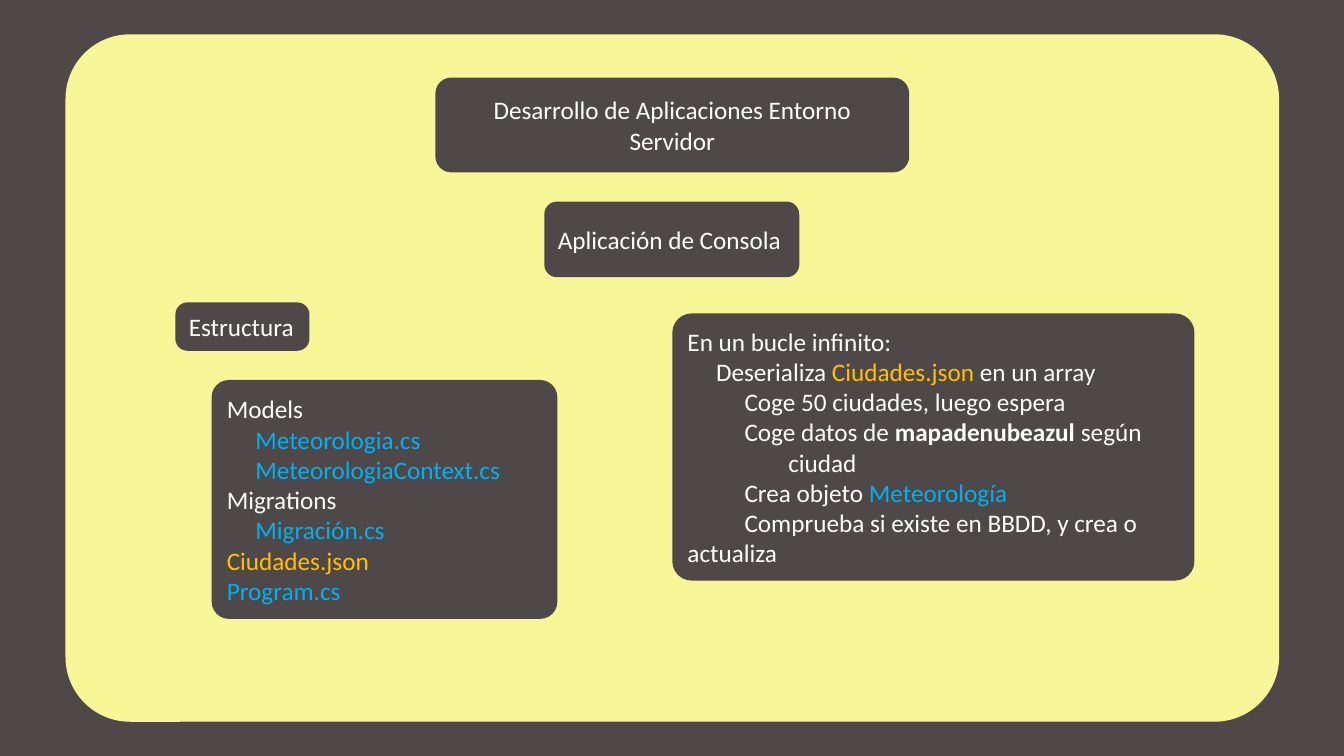
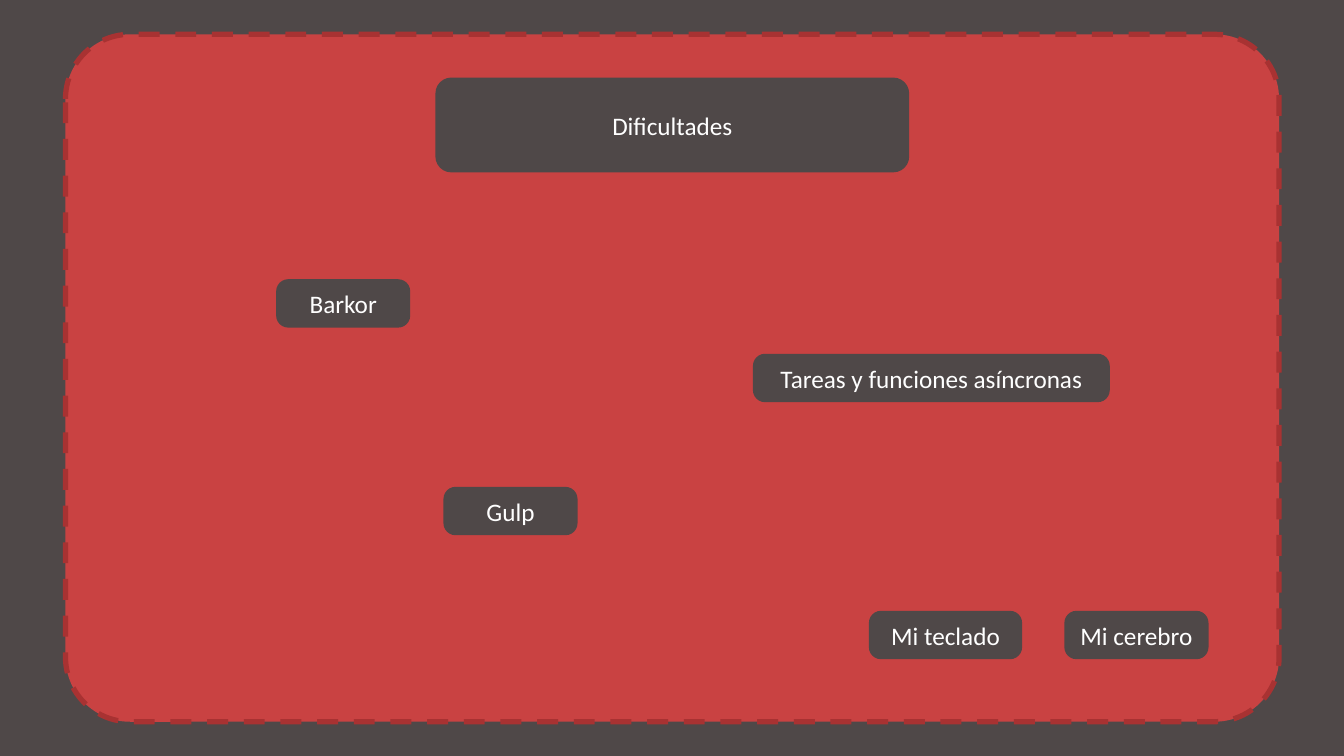
"""Build two slides about a console application and its difficulties."""
import pptx
import pptx.dml.color
import pptx.enum.dml
import pptx.enum.shapes
import pptx.enum.text
import pptx.oxml.ns
import pptx.util
from lxml import etree

Pt = pptx.util.Pt
ALIGN = pptx.enum.text.PP_ALIGN

COLORS = {
    "dark": "4F4848",
    "yellow": "F7F797",
    "red": "C94242",
    "dash": "A83232",
    "white": "FFFFFF",
    "blue": "00B0F0",
    "amber": "FFC000",
}
PANEL_BOX = (46.8, 24.48, 866.88, 491.04)
TITLE_BOX = (311.04, 55.44, 338.4, 67.68)
CONSOLE_BOX = (388.8, 144, 182.16, 54)
STRUCTURE_BOX = (125.28, 216, 95.76, 34.56)
PILL_HEIGHT = 34.56
ROUNDING = {"panel": 0.094, "block": 0.167, "pill": 0.249, "list": 0.072}
STEP = 20.4
WRAP_INDENT = 72

FONT = {"name": "Calibri", "size": Pt(18)}
FRAME = {
    "word_wrap": True,
    "auto_size": pptx.enum.text.MSO_AUTO_SIZE.NONE,
    "vertical_anchor": pptx.enum.text.MSO_ANCHOR.MIDDLE,
}
PLACEHOLDER_FRAME = FRAME | {
    "margin_left": Pt(10.8),
    "margin_right": Pt(10.8),
    "margin_top": Pt(3.6),
    "margin_bottom": Pt(3.6),
}
SPACING = {"space_before": Pt(0), "space_after": Pt(0), "line_spacing": 1.0}

FILES_BOX = (151.2, 271.44, 246.96, 170.64)
FILES = [
    (0, 0, [("Models", "white", False)]),
    (STEP, STEP, [("Meteorologia.cs", "blue", False)]),
    (STEP, STEP, [("MeteorologiaContext.cs", "blue", False)]),
    (0, 0, [("Migrations", "white", False)]),
    (STEP, STEP, [("Migración.cs", "blue", False)]),
    (0, 0, [("Ciudades.json", "amber", False)]),
    (0, 0, [("Program.cs", "blue", False)]),
]
LOOP_BOX = (480.24, 223.92, 372.96, 190.8)
LOOP = [
    (0, 0, [("En un bucle infinito:", "white", False)]),
    (STEP, STEP, [("Deserializa ", "white", False),
                  ("Ciudades.json ", "amber", False),
                  ("en un array", "white", False)]),
    (2 * STEP, 2 * STEP, [("Coge 50 ciudades, luego espera", "white", False)]),
    (2 * STEP, WRAP_INDENT, [("Coge datos de ", "white", False),
                             ("mapadenubeazul ", "white", True),
                             ("según ciudad", "white", False)]),
    (2 * STEP, 2 * STEP, [("Crea objeto ", "white", False),
                          ("Meteorología", "blue", False)]),
    (2 * STEP, 0, [("Comprueba si existe en BBDD, y crea o actualiza", "white", False)]),
]
DIFFICULTIES = [
    ("Barkor", 197.28, 199.44, 95.76),
    ("Gulp", 316.8, 347.76, 95.76),
    ("Tareas y funciones asíncronas", 537.84, 252.72, 254.88),
    ("Mi teclado", 620.64, 436.32, 109.44),
    ("Mi cerebro", 760.32, 436.32, 102.96),
]


def apply_format(target, values):
    """Set each attribute of the target from a dict."""
    for name, value in values.items():
        setattr(target, name, value)


def rgb(name):
    """Return the named colour."""
    return pptx.dml.color.RGBColor.from_string(COLORS[name])


def add_card(page, box, color, rounding):
    """Add a plain rounded rectangle."""
    kind = pptx.enum.shapes.MSO_SHAPE.ROUNDED_RECTANGLE
    card = page.shapes.add_shape(kind, *map(Pt, box))
    card.adjustments[0] = ROUNDING[rounding]
    card.shadow.inherit = False
    card.fill.solid()
    card.fill.fore_color.rgb = rgb(color)
    card.line.fill.background()
    return card


def write_lines(frame, lines, align):
    """Write lines of (first indent, wrapped indent, spans) into a text frame."""
    for index, (first, wrapped, spans) in enumerate(lines):
        para = frame.add_paragraph() if index else frame.paragraphs[0]
        apply_format(para, SPACING | {"alignment": align})
        properties = para._p.get_or_add_pPr()
        properties.set("marL", str(Pt(wrapped)))
        properties.set("indent", str(Pt(first - wrapped)))
        etree.SubElement(properties, pptx.oxml.ns.qn("a:buNone"))
        for text, color, bold in spans:
            span = para.add_run()
            span.text = text
            apply_format(span.font, FONT | {"bold": bold})
            span.font.color.rgb = rgb(color)


def add_label(page, text, box, rounding="pill", align=ALIGN.CENTER):
    """Add a dark card with one line of white text."""
    card = add_card(page, box, "dark", rounding)
    apply_format(card.text_frame, FRAME)
    write_lines(card.text_frame, [(0, 0, [(text, "white", False)])], align)


def place_text(page, holder, box, lines, rounding, align=ALIGN.LEFT):
    """Lay a placeholder with its text over a dark card."""
    add_card(page, box, "dark", rounding)
    holder.element.getparent().append(holder.element)
    apply_format(holder, dict(zip(("left", "top", "width", "height"), map(Pt, box))))
    apply_format(holder.text_frame, PLACEHOLDER_FRAME)
    write_lines(holder.text_frame, lines, align)


def add_page(deck, layout, title, color):
    """Add a slide with its panel and title, and return both slide and panel."""
    page = deck.slides.add_slide(deck.slide_layouts.get_by_name(layout))
    panel = add_card(page, PANEL_BOX, color, "panel")
    lines = [(0, 0, [(title, "white", False)])]
    place_text(page, page.shapes.title, TITLE_BOX, lines, "block", ALIGN.CENTER)
    return page, panel


def build_console(deck):
    """Build the slide on the console application."""
    page, _ = add_page(deck, "Two Content",
                       "Desarrollo de Aplicaciones Entorno Servidor", "yellow")
    add_label(page, "Aplicación de Consola", CONSOLE_BOX, "block", ALIGN.LEFT)
    add_label(page, "Estructura", STRUCTURE_BOX, align=ALIGN.LEFT)
    place_text(page, page.placeholders[1], FILES_BOX, FILES, "list")
    place_text(page, page.placeholders[2], LOOP_BOX, LOOP, "list")


def build_difficulties(deck):
    """Build the slide on the difficulties."""
    page, panel = add_page(deck, "Title Only", "Dificultades", "red")
    panel.line.color.rgb = rgb("dash")
    apply_format(panel.line, {"width": Pt(3.75),
                              "dash_style": pptx.enum.dml.MSO_LINE.DASH})
    for text, left, top, width in DIFFICULTIES:
        add_label(page, text, (left, top, width, PILL_HEIGHT))


def main():
    """Build and save the deck."""
    deck = pptx.Presentation()
    apply_format(deck, {"slide_width": Pt(960), "slide_height": Pt(540)})
    background = deck.slide_master.background.fill
    background.solid()
    background.fore_color.rgb = rgb("dark")
    build_console(deck)
    build_difficulties(deck)
    deck.save("out.pptx")


main()
